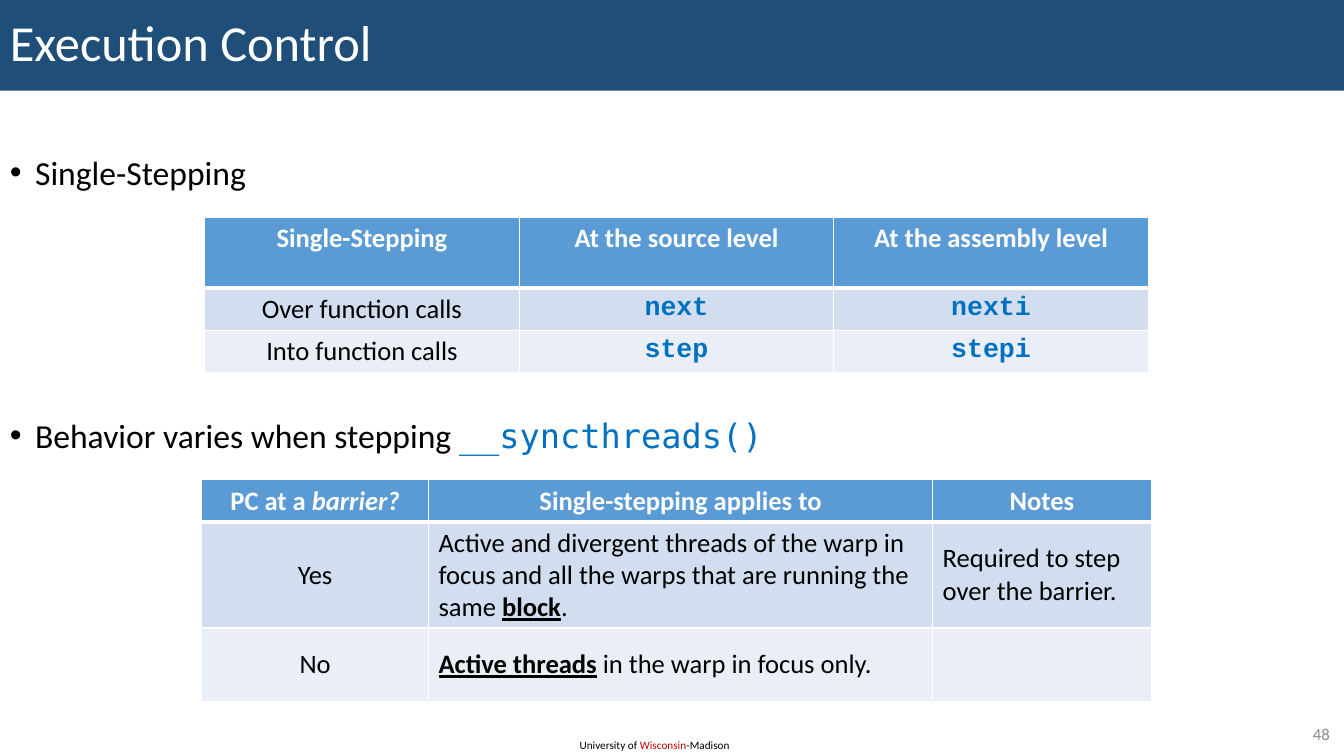
from dataclasses import dataclass
from lxml.etree import SubElement
from pptx import Presentation
from pptx.dml.color import RGBColor
from pptx.enum.shapes import MSO_SHAPE
from pptx.enum.text import MSO_ANCHOR, PP_ALIGN
from pptx.oxml.ns import qn
from pptx.util import Inches, Pt


@dataclass(frozen=True)
class Theme:
    text_font: str = "Calibri"
    command_font: str = "Courier New"
    code_font: str = "DejaVu Sans Mono"
    white: str = "FFFFFF"
    black: str = "000000"
    banner: str = "1F4E79"
    header: str = "5B9BD5"
    bands: tuple = ("D2DEEF", "EAEFF7")
    code: str = "0070C0"
    red: str = "C00000"
    gray: str = "8C8C8C"
    title_size: int = 36
    body_size: int = 24
    table_size: int = 19
    number_size: int = 12
    footer_size: int = 8


THEME = Theme()
STYLES = {
    "plain": {},
    "title": {"color": THEME.white},
    "header": {"color": THEME.white, "bold": True},
    "header italic": {"color": THEME.white, "bold": True, "italic": True},
    "command": {"font": THEME.command_font, "color": THEME.code, "bold": True},
    "code": {"font": THEME.code_font, "color": THEME.code},
    "key": {"bold": True, "underline": True},
    "red": {"color": THEME.red},
    "gray": {"color": THEME.gray},
}

SLIDE_WIDTH, SLIDE_HEIGHT = 13.33, 7.5
TITLE = [("Execution Control", "title")]
BULLETS = [
    [("Single-Stepping", "plain")],
    [("Behavior varies when stepping ", "plain"), ("__syncthreads()", "code")],
]
BULLET_GAP = 162
FOOTER = [("University of ", "plain"), ("Wisconsin", "red"), ("-Madison", "plain")]
PAGE_NUMBER = [("48", "gray")]

STEP_COMMANDS = {
    "origin": (2.03, 2.16),
    "columns": (3.12, 3.12, 3.12),
    "rows": (0.7, 0.41, 0.41),
    "anchor": MSO_ANCHOR.TOP,
    "left_aligned": (),
    "cells": [
        [[("Single-Stepping", "header")], [("At the source level", "header")],
         [("At the assembly level", "header")]],
        [[("Over function calls", "plain")], [("next", "command")], [("nexti", "command")]],
        [[("Into function calls", "plain")], [("step", "command")], [("stepi", "command")]],
    ],
}
BARRIER_BEHAVIOR = {
    "origin": (2, 4.76),
    "columns": (2.25, 5, 2.17),
    "rows": (0.42, 1.04, 0.73),
    "anchor": MSO_ANCHOR.MIDDLE,
    "left_aligned": (1, 2),
    "cells": [
        [[("PC at a ", "header"), ("barrier?", "header italic")],
         [("Single-stepping applies to", "header")], [("Notes", "header")]],
        [[("Yes", "plain")],
         [("Active and divergent threads of the warp in focus and all the warps "
           "that are running the same ", "plain"), ("block", "key"), (".", "plain")],
         [("Required to step over the barrier.", "plain")]],
        [[("No", "plain")],
         [("Active threads", "key"), (" in the warp in focus only.", "plain")], []],
    ],
}


def write(paragraph, pieces, size, align=PP_ALIGN.LEFT):
    paragraph.alignment = align
    for wording, style_name in pieces:
        style = STYLES[style_name]
        run = paragraph.add_run()
        run.text = wording
        run.font.size = Pt(size)
        run.font.name = style.get("font", THEME.text_font)
        run.font.color.rgb = RGBColor.from_string(style.get("color", THEME.black))
        run.font.bold = style.get("bold", False)
        run.font.italic = style.get("italic", False)
        run.font.underline = style.get("underline", False)


def add_label(slide, box, pieces, size, align=PP_ALIGN.LEFT, anchor=MSO_ANCHOR.TOP):
    frame = slide.shapes.add_textbox(*map(Inches, box)).text_frame
    frame.word_wrap = True
    frame.vertical_anchor = anchor
    write(frame.paragraphs[0], pieces, size, align)


def add_banner(slide):
    banner = slide.shapes.add_shape(
        MSO_SHAPE.RECTANGLE, 0, 0, Inches(SLIDE_WIDTH), Inches(0.12 * SLIDE_HEIGHT))
    banner.shadow.inherit = False
    banner.fill.solid()
    banner.fill.fore_color.rgb = RGBColor.from_string(THEME.banner)
    banner.line.fill.background()
    banner.text_frame.vertical_anchor = MSO_ANCHOR.MIDDLE
    heading = banner.text_frame.paragraphs[0]
    heading.line_spacing = 0.9
    write(heading, TITLE, THEME.title_size)


def add_bullets(slide):
    frame = slide.shapes.add_textbox(0, Inches(1.5), Inches(9), Inches(3.25)).text_frame
    frame.word_wrap = True
    for index, pieces in enumerate(BULLETS):
        bullet = frame.add_paragraph() if index else frame.paragraphs[0]
        bullet.line_spacing = 0.9
        if index:
            bullet.space_before = Pt(BULLET_GAP)
        properties = bullet._p.get_or_add_pPr()
        properties.set("marL", str(Inches(0.25)))
        properties.set("indent", str(Inches(-0.25)))
        SubElement(properties, qn("a:buFont"), typeface="Arial")
        SubElement(properties, qn("a:buChar"), char="•")
        write(bullet, pieces, THEME.body_size)


def add_borders(cell, is_header):
    properties = cell._tc.get_or_add_tcPr()
    for side in ("lnL", "lnR", "lnT", "lnB"):
        width = 3 if is_header and side == "lnB" else 1
        border = SubElement(properties, qn(f"a:{side}"), w=str(Pt(width)))
        paint = SubElement(border, qn("a:solidFill"))
        SubElement(paint, qn("a:srgbClr"), val=THEME.white)


def add_grid(slide, content):
    columns, rows = content["columns"], content["rows"]
    grid = slide.shapes.add_table(
        len(rows), len(columns), *map(Inches, (*content["origin"], sum(columns), sum(rows)))).table
    for column, width in zip(grid.columns, columns):
        column.width = Inches(width)
    for row_index, (row, height) in enumerate(zip(grid.rows, rows)):
        row.height = Inches(height)
        color = THEME.bands[(row_index - 1) % 2] if row_index else THEME.header
        for column_index, cell in enumerate(row.cells):
            add_borders(cell, row_index == 0)
            cell.fill.solid()
            cell.fill.fore_color.rgb = RGBColor.from_string(color)
            cell.vertical_anchor = content["anchor"]
            is_left = row_index and column_index in content["left_aligned"]
            write(cell.text_frame.paragraphs[0], content["cells"][row_index][column_index],
                  THEME.table_size, PP_ALIGN.LEFT if is_left else PP_ALIGN.CENTER)


def main():
    deck = Presentation()
    deck.slide_width, deck.slide_height = Inches(SLIDE_WIDTH), Inches(SLIDE_HEIGHT)
    slide = deck.slides.add_slide(deck.slide_layouts[6])
    add_label(slide, (5.65, 7.28, 1.72, 0.24), FOOTER, THEME.footer_size)
    add_banner(slide)
    add_label(slide, (12.53, 7.13, 0.76, 0.29), PAGE_NUMBER, THEME.number_size,
              PP_ALIGN.RIGHT, MSO_ANCHOR.MIDDLE)
    add_bullets(slide)
    for content in (STEP_COMMANDS, BARRIER_BEHAVIOR):
        add_grid(slide, content)
    deck.save("out.pptx")


if __name__ == "__main__":
    main()
